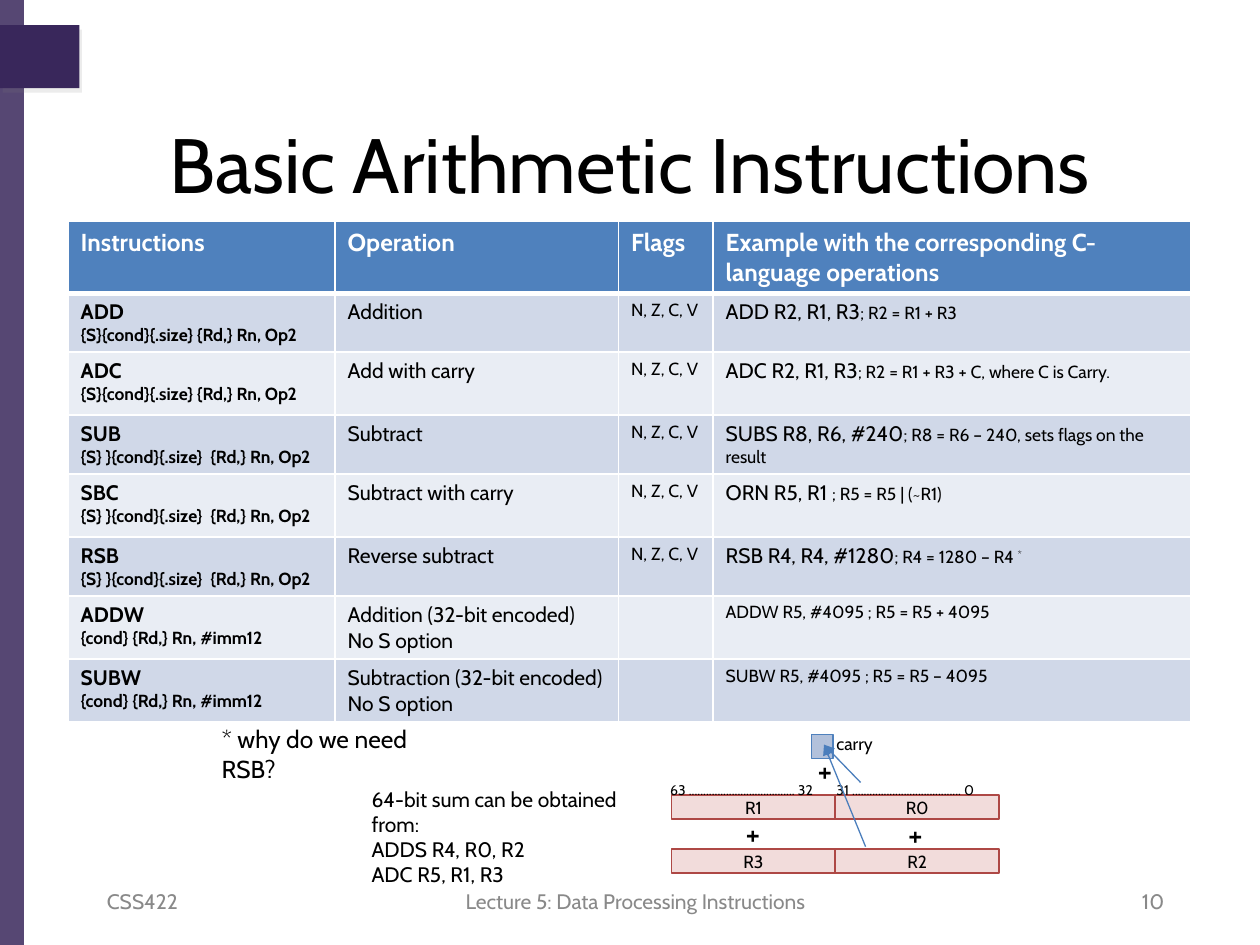
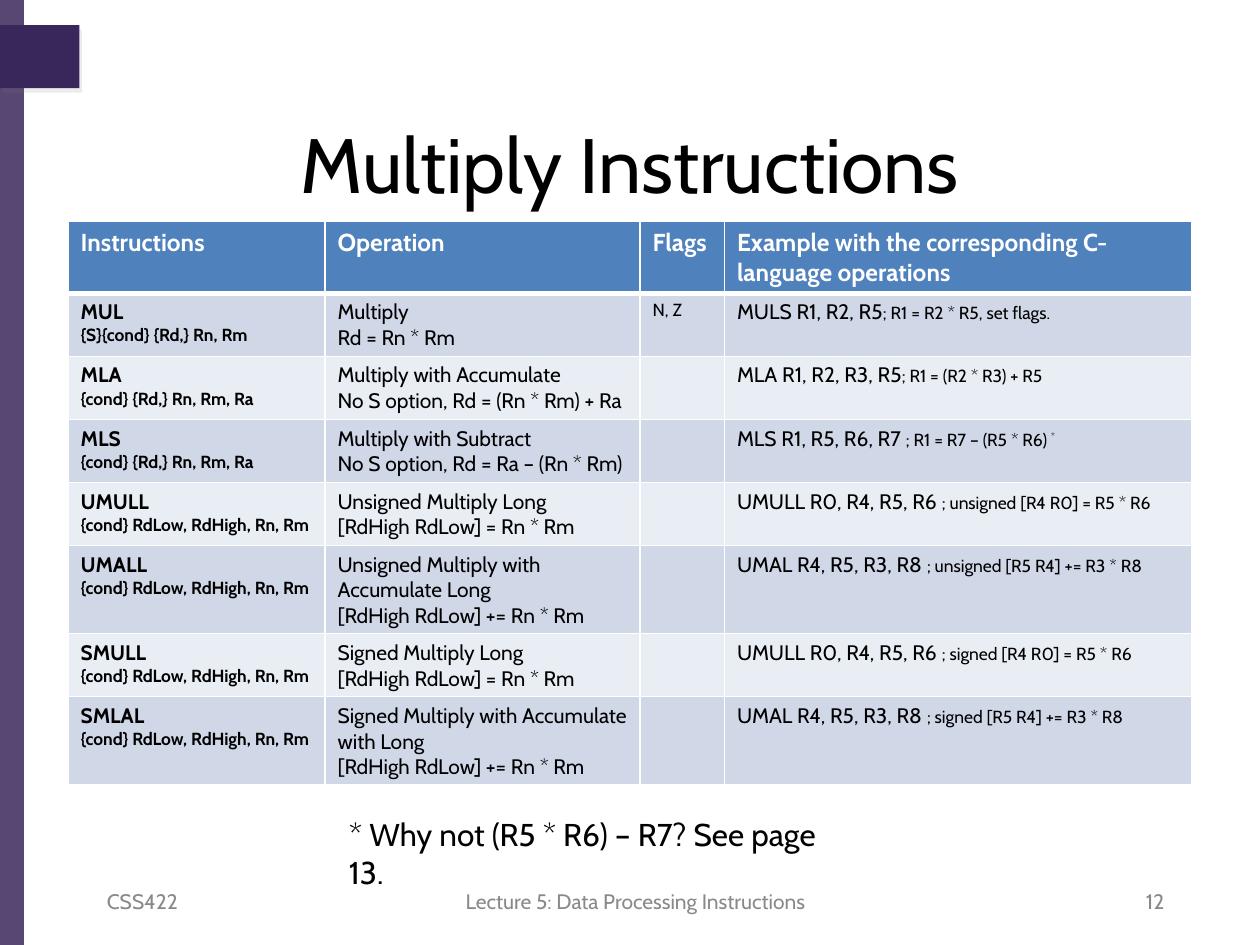
from dataclasses import dataclass

from pptx import Presentation
from pptx.dml.color import RGBColor
from pptx.enum.shapes import MSO_CONNECTOR, MSO_SHAPE
from pptx.enum.text import MSO_ANCHOR, PP_ALIGN
from pptx.oxml import parse_xml
from pptx.oxml.ns import nsdecls, qn
from pptx.util import Inches, Pt

FONT = "Cabin"
BLACK, WHITE, GREY = "000000", "FFFFFF", "898989"
PURPLE, BLUE, ARROW_BLUE, PALE_BLUE = "39275B", "4F81BD", "4B7EBC", "B2C1DB"
PINK, RED = "F2DCDB", "AE4845"
ROW_FILLS = ("D0D8E8", "E9EDF4")
GRID_STEP = 0.1
HEADINGS = ("Instructions", "Operation", "Flags",
            "Example with the corresponding C-language operations")
ROW_HEIGHTS = (4.6, 4.5, 5, 4.5, 5, 4.5, 4.5, 4.5)
ALL_FLAGS = "N, Z, C, V"
LONG_OPERANDS = "{cond} RdLow, RdHigh, Rn, Rm"

ARITHMETIC_ROWS = (
    ("ADD", "{S}{cond}{.size} {Rd,} Rn, Op2", ["Addition"], ALL_FLAGS,
     "ADD R2, R1, R3", "; R2 = R1 + R3", ""),
    ("ADC", "{S}{cond}{.size} {Rd,} Rn, Op2", ["Add with carry"], ALL_FLAGS,
     "ADC R2, R1, R3", "; R2 = R1 + R3 + C, where C is Carry.", ""),
    ("SUB", "{S} }{cond}{.size}  {Rd,} Rn, Op2", ["Subtract"], ALL_FLAGS,
     "SUBS R8, R6, #240", "; R8 = R6 – 240, sets flags on the result", ""),
    ("SBC", "{S} }{cond}{.size}  {Rd,} Rn, Op2", ["Subtract with carry"], ALL_FLAGS,
     "ORN R5, R1 ", "; R5 = R5 | (~R1)", ""),
    ("RSB", "{S} }{cond}{.size}  {Rd,} Rn, Op2", ["Reverse subtract"], ALL_FLAGS,
     "RSB R4, R4, #1280", "; R4 = 1280 – R4 ", "*"),
    ("ADDW", "{cond} {Rd,} Rn, #imm12", ["Addition (32-bit encoded)", "No S option"], "",
     "", "ADDW R5, #4095 ; R5 = R5 + 4095", ""),
    ("SUBW", "{cond} {Rd,} Rn, #imm12", ["Subtraction (32-bit encoded) No S option"], "",
     "", "SUBW R5, #4095 ; R5 = R5 – 4095", ""),
)

MULTIPLY_ROWS = (
    ("MUL", "{S}{cond} {Rd,} Rn, Rm", ["Multiply", "Rd = Rn * Rm"], "N, Z",
     "MULS R1, R2, R5", "; R1 = R2 * R5, set flags.", ""),
    ("MLA", "{cond} {Rd,} Rn, Rm, Ra",
     ["Multiply with Accumulate", "No S option, Rd = (Rn * Rm) + Ra"], "",
     "MLA R1, R2, R3, R5", "; R1 = (R2 * R3) + R5", ""),
    ("MLS", "{cond} {Rd,} Rn, Rm, Ra",
     ["Multiply with Subtract", "No S option, Rd = Ra – (Rn * Rm)"], "",
     "MLS R1, R5, R6, R7 ", "; R1 = R7 – (R5 * R6) ", "*"),
    ("UMULL", LONG_OPERANDS, ["Unsigned Multiply Long", "[RdHigh RdLow] = Rn * Rm"], "",
     "UMULL R0, R4, R5, R6 ", "; unsigned [R4 R0] = R5 * R6", ""),
    ("UMALL", LONG_OPERANDS,
     ["Unsigned Multiply with Accumulate Long", "[RdHigh RdLow] += Rn * Rm"], "",
     "UMAL R4, R5, R3, R8 ", "; unsigned [R5 R4] += R3 * R8", ""),
    ("SMULL", LONG_OPERANDS, ["Signed Multiply Long", "[RdHigh RdLow] = Rn * Rm"], "",
     "UMULL R0, R4, R5, R6 ", "; signed [R4 R0] = R5 * R6", ""),
    ("SMLAL", LONG_OPERANDS,
     ["Signed Multiply with Accumulate with Long", "[RdHigh RdLow] += Rn * Rm"], "",
     "UMAL R4, R5, R3, R8 ", "; signed [R5 R4] += R3 * R8", ""),
)


@dataclass
class Box:
    column: float
    row: float
    columns: float
    rows: float

    def inner(self, column, row, columns, rows):
        return Box(self.column + column, self.row + row, columns, rows)

    def frame(self):
        return [grid(n) for n in (self.column, self.row, self.columns, self.rows)]


@dataclass
class Span:
    text: str
    size: float
    bold: bool = False
    color: str = BLACK
    raised: bool = False


SLIDE = Box(0, 0, 100, 75)


def grid(cells):
    return Inches(cells * GRID_STEP)


def rgb(color):
    return RGBColor.from_string(color)


def write(text_frame, paragraphs, align=PP_ALIGN.LEFT):
    for index, spans in enumerate(paragraphs):
        para = text_frame.add_paragraph() if index else text_frame.paragraphs[0]
        para.alignment = align
        for item in spans:
            span = para.add_run()
            span.text = item.text
            span.font.name = FONT
            span.font.size = Pt(item.size)
            span.font.bold = item.bold
            span.font.color.rgb = rgb(item.color)
            if item.raised:
                span._r.get_or_add_rPr().set("baseline", "30000")


def add_text(page, box, lines, size, color=BLACK, align=PP_ALIGN.LEFT,
             anchor=MSO_ANCHOR.TOP):
    text_frame = page.shapes.add_textbox(*box.frame()).text_frame
    text_frame.word_wrap = True
    text_frame.vertical_anchor = anchor
    write(text_frame, [[Span(line, size, color=color)] for line in lines], align)


def add_rectangle(page, box, fill, line=None):
    shape = page.shapes.add_shape(MSO_SHAPE.RECTANGLE, *box.frame())
    shape.shadow.inherit = False
    shape.fill.solid()
    shape.fill.fore_color.rgb = rgb(fill)
    if line:
        shape.line.color.rgb = rgb(line)
        shape.line.width = Pt(1)
    else:
        shape.line.fill.background()
    return shape


def add_arrow(page, box, start, end):
    points = [grid(n) for n in (box.column + start[0], box.row + start[1],
                                box.column + end[0], box.row + end[1])]
    arrow = page.shapes.add_connector(MSO_CONNECTOR.STRAIGHT, *points)
    arrow.line.color.rgb = rgb(ARROW_BLUE)
    arrow.line.width = Pt(0.75)
    arrow.line._get_or_add_ln().append(
        parse_xml(f'<a:tailEnd {nsdecls("a")} type="triangle"/>'))
    arrow._element.spPr.append(parse_xml(f'<a:effectLst {nsdecls("a")}/>'))


def add_side_band(page, box):
    band = add_rectangle(page, box.inner(0, 0, 1.9, box.rows), PURPLE)
    color = band._element.spPr.find(qn("a:solidFill"))[0]
    color.append(parse_xml(f'<a:alpha {nsdecls("a")} val="85000"/>'))
    tab = add_rectangle(page, box.inner(0, 2, 6.3, 5), PURPLE)
    tab._element.spPr.find(qn("a:effectLst")).append(parse_xml(
        f'<a:outerShdw {nsdecls("a")} dist="38100" dir="3600000">'
        '<a:srgbClr val="808080"><a:alpha val="15000"/></a:srgbClr></a:outerShdw>'))


def add_footer(page, box, number):
    parts = ((0, 23.3, "CSS422", PP_ALIGN.LEFT),
             (27.1, 31.7, "Lecture 5: Data Processing Instructions", PP_ALIGN.CENTER),
             (62.6, 23.3, str(number), PP_ALIGN.RIGHT))
    for column, columns, text, align in parts:
        add_text(page, box.inner(column, 0, columns, box.rows), [text], 12, GREY,
                 align, MSO_ANCHOR.MIDDLE)


def style_cell(cell, fill, bottom_width):
    properties = cell._tc.get_or_add_tcPr()
    for side, width in (("L", 1), ("R", 1), ("T", 1), ("B", bottom_width)):
        properties.append(parse_xml(
            f'<a:ln{side} {nsdecls("a")} w="{Pt(width)}"><a:solidFill>'
            f'<a:srgbClr val="{WHITE}"/></a:solidFill></a:ln{side}>'))
    cell.fill.solid()
    cell.fill.fore_color.rgb = rgb(fill)


def instruction_cells(name, syntax, operation, flags, code, comment, mark):
    example = [Span(code, 12), Span(comment, 10), Span(mark, 10, raised=True)]
    return ([[Span(name, 12, True)], [Span(syntax, 10, True)]],
            [[Span(line, 12)] for line in operation],
            [[Span(flags, 10)]] if flags else [],
            [[span for span in example if span.text]])


def add_instruction_table(page, box, column_widths, instructions):
    table = page.shapes.add_table(len(ROW_HEIGHTS), len(HEADINGS), *box.frame()).table
    for column, width in zip(table.columns, column_widths):
        column.width = grid(width)
    for row, height in zip(table.rows, ROW_HEIGHTS):
        row.height = grid(height)
    header = [[[Span(heading, 14, True, WHITE)]] for heading in HEADINGS]
    contents = [header] + [instruction_cells(*item) for item in instructions]
    for index, cells in enumerate(contents):
        fill = ROW_FILLS[(index - 1) % 2] if index else BLUE
        for cell, paragraphs in zip(table.rows[index].cells, cells):
            style_cell(cell, fill, 1 if index else 3)
            write(cell.text_frame, paragraphs)


def add_sum_diagram(page, box):
    for row, names in enumerate((("R1", "R0"), ("R3", "R2"))):
        for column, name in enumerate(names):
            register = add_rectangle(
                page, box.inner(1.1 + 13 * column, 5.4 + 4.3 * row, 13, 1.9), PINK, RED)
            text_frame = register.text_frame
            text_frame.margin_top = text_frame.margin_bottom = 0
            text_frame.vertical_anchor = MSO_ANCHOR.MIDDLE
            write(text_frame, [[Span(name, 10)]], PP_ALIGN.CENTER)
    add_rectangle(page, box.inner(12.2, 0.6, 1.7, 1.9), PALE_BLUE, BLUE)
    bit_ranges = ("63 ..................................... 32",
                  "31 ...................................... 0")
    for index, bits in enumerate(bit_ranges):
        add_text(page, box.inner(13.2 * index, 3.8, 15.2, 2.4), [bits], 8)
    for column, row in ((18.9, 6.5), (6, 6.4), (11.7, 1.4)):
        add_text(page, box.inner(column, row, 3.3, 4), ["+"], 18)
    add_text(page, box.inner(13.2, 0, 5.5, 2.7), ["carry"], 10)
    for start in ((16.1, 4.4), (16.5, 9.5)):
        add_arrow(page, box, start, (13.2, 1.4))


def add_instruction_page(deck, title, number, column_widths, instructions):
    page = deck.slides.add_slide(deck.slide_layouts[6])
    add_side_band(page, SLIDE)
    add_text(page, SLIDE.inner(5, 8.3, 90, 9.2), [title], 44,
             align=PP_ALIGN.CENTER, anchor=MSO_ANCHOR.MIDDLE)
    add_footer(page, SLIDE.inner(7.5, 69.5, 85.9, 4), number)
    add_instruction_table(page, SLIDE.inner(5.4, 17.6, 89.2, sum(ROW_HEIGHTS)),
                          column_widths, instructions)
    return page


def main():
    deck = Presentation()
    deck.slide_width, deck.slide_height = grid(SLIDE.columns), grid(SLIDE.rows)

    arithmetic = add_instruction_page(deck, "Basic Arithmetic Instructions", 10,
                                      (21.2, 22.5, 7.5, 37.9), ARITHMETIC_ROWS)
    add_text(arithmetic, SLIDE.inner(16.6, 57, 20.9, 3.4), ["* why do we need RSB?"], 14)
    add_text(arithmetic, SLIDE.inner(28.5, 61.9, 24.8, 7.1),
             ["64-bit sum can be obtained from:", "ADDS R4, R0, R2", "ADC R5, R1, R3"], 12)
    add_sum_diagram(arithmetic, SLIDE.inner(52.2, 57.7, 28.1, 11.6))

    multiply = add_instruction_page(deck, "Multiply Instructions", 12,
                                    (20.4, 25, 6.7, 37.1), MULTIPLY_ROWS)
    add_text(multiply, SLIDE.inner(26.7, 64.2, 42.3, 4),
             ["* Why not (R5 * R6) – R7? See page 13."], 18)

    deck.save("out.pptx")


if __name__ == "__main__":
    main()
